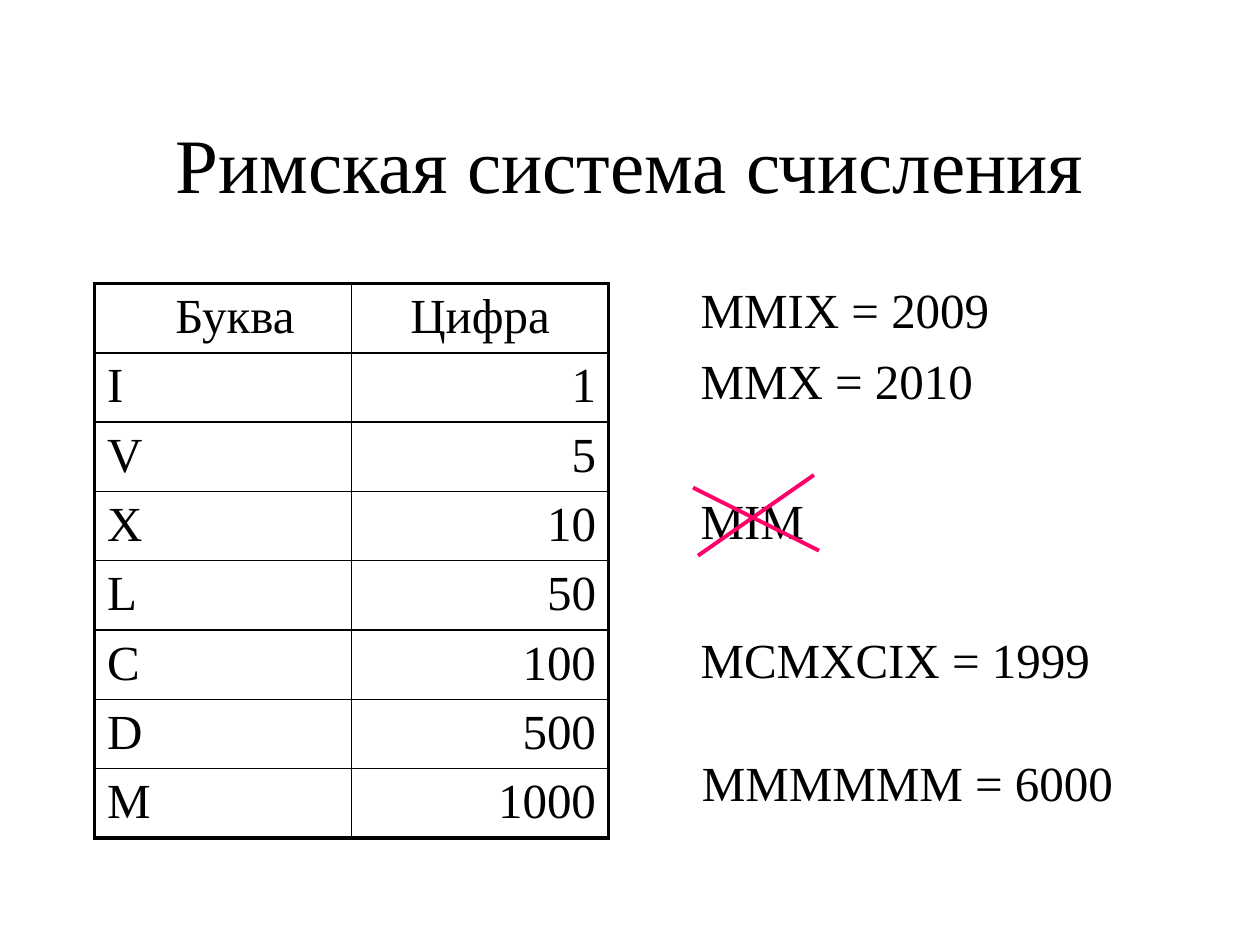
from lxml.etree import SubElement
from pptx import Presentation
from pptx.dml.color import RGBColor
from pptx.enum.shapes import MSO_CONNECTOR
from pptx.enum.text import MSO_ANCHOR, MSO_AUTO_SIZE, PP_ALIGN
from pptx.oxml.ns import qn
from pptx.util import Inches, Pt

COLORS = {"text": "000000", "border": "000000", "cross": "FF0066"}
FONT = "Times New Roman"
BODY_SIZE = 28
THIN, THICK = 1, 2.25

NUMERALS = [("Буква", "Цифра"), ("I", "1"), ("V", "5"), ("X", "10"),
            ("L", "50"), ("C", "100"), ("D", "500"), ("M", "1000")]
# Text and space before it in points
EXAMPLES = [("MMIX = 2009", 0), ("MMX = 2010", 7),
            ("MIM", 46), ("MCMXCIX = 1999", 46)]


def format_paragraph(p, size=BODY_SIZE, align=PP_ALIGN.LEFT):
    p.alignment = align
    for r in p.runs:
        r.font.name = FONT
        r.font.size = Pt(size)
        r.font.color.rgb = RGBColor.from_string(COLORS["text"])


def place(sp, left, top, width, height):
    sp.left, sp.top = Inches(left), Inches(top)
    sp.width, sp.height = Inches(width), Inches(height)


def add_title(slide, left, top, width, height):
    sp = slide.shapes.title
    place(sp, left, top, width, height)
    tf = sp.text_frame
    tf.text = "Римская система счисления"
    tf.auto_size = MSO_AUTO_SIZE.NONE
    tf.vertical_anchor = MSO_ANCHOR.MIDDLE
    format_paragraph(tf.paragraphs[0], 44, PP_ALIGN.CENTER)


def add_examples(slide, left, top, width, height):
    sp = slide.placeholders[1]
    place(sp, left, top, width, height)
    tf = sp.text_frame
    tf.auto_size = MSO_AUTO_SIZE.NONE
    tf.vertical_anchor = MSO_ANCHOR.TOP
    for i, (text, gap) in enumerate(EXAMPLES):
        p = tf.add_paragraph() if i else tf.paragraphs[0]
        p.text = text
        p.space_before = Pt(gap)
        format_paragraph(p)
        pPr = p._p.get_or_add_pPr()
        pPr.set("marL", str(Inches(0.38)))
        pPr.set("indent", "0")
        SubElement(pPr, qn("a:buNone"))


def set_borders(cell, widths):
    """Draw the cell's sides; widths maps L, R, T, B to points."""
    tcPr = cell._tc.get_or_add_tcPr()
    for i, side in enumerate("LRTB"):
        ln = SubElement(tcPr, qn(f"a:ln{side}"), w=str(Pt(widths[side])))
        fill = SubElement(ln, qn("a:solidFill"))
        SubElement(fill, qn("a:srgbClr"), val=COLORS["border"])
        tcPr.insert(i, ln)


def add_numerals(slide, left, top, width, height):
    n_rows, n_cols = len(NUMERALS), len(NUMERALS[0])
    table = slide.shapes.add_table(n_rows, n_cols, Inches(left), Inches(top),
                                   Inches(width), Inches(height)).table
    table.first_row = table.horz_banding = False
    for i, row in enumerate(NUMERALS):
        for j, text in enumerate(row):
            cell = table.cell(i, j)
            cell.text = text
            align = PP_ALIGN.RIGHT if j else PP_ALIGN.LEFT
            format_paragraph(cell.text_frame.paragraphs[0],
                             align=align if i else PP_ALIGN.CENTER)
            cell.fill.background()
            set_borders(cell, {
                "L": THIN if j else THICK,
                "R": THICK if j == n_cols - 1 else THIN,
                "T": THIN if i else THICK,
                "B": THICK if i == n_rows - 1 else THIN})
    table.cell(0, 0).margin_left = Inches(0.29)


def add_cross(slide, *strokes):
    """Cross out a wrong numeral; each stroke is x1, y1, x2, y2."""
    for stroke in strokes:
        line = slide.shapes.add_connector(MSO_CONNECTOR.STRAIGHT,
                                          *map(Inches, stroke))
        line.line.color.rgb = RGBColor.from_string(COLORS["cross"])
        line.line.width = Pt(2.25)
        SubElement(line._element.spPr, qn("a:effectLst"))


def add_large_number(slide, left, top, width, height):
    sp = slide.shapes.add_textbox(Inches(left), Inches(top),
                                  Inches(width), Inches(height))
    tf = sp.text_frame
    tf.word_wrap = True
    tf.margin_left = Inches(0.49)
    tf.text = "MMMMMM = 6000"
    format_paragraph(tf.paragraphs[0])


def main():
    prs = Presentation()
    prs.slide_width, prs.slide_height = Inches(10), Inches(7.5)
    slide = prs.slides.add_slide(prs.slide_layouts[1])
    add_title(slide, 0.75, 0.67, 8.5, 1.25)
    add_examples(slide, 5.08, 2.17, 4.17, 4.75)
    add_numerals(slide, 0.75, 2.25, 4.08, 4.4)
    add_cross(slide, (5.5, 3.87, 6.5, 4.37), (6.46, 3.77, 5.54, 4.41))
    add_large_number(slide, 5.08, 5.92, 4.25, 0.57)
    prs.save("out.pptx")


if __name__ == "__main__":
    main()
